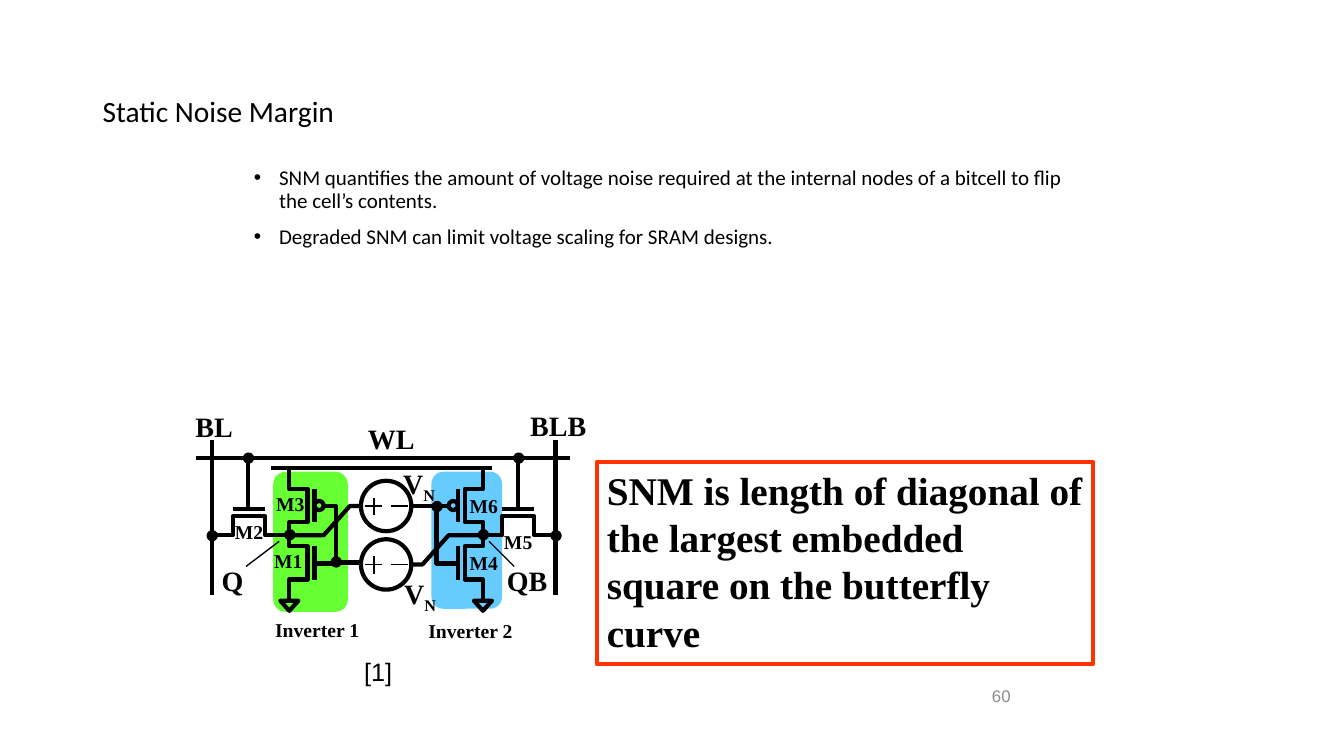
from dataclasses import dataclass

from lxml import etree
from pptx import Presentation
from pptx.dml.color import RGBColor
from pptx.enum.shapes import MSO_CONNECTOR, MSO_SHAPE
from pptx.enum.text import MSO_ANCHOR, MSO_AUTO_SIZE, PP_ALIGN
from pptx.oxml.ns import qn
from pptx.util import Emu, Pt

STRAIGHT = MSO_CONNECTOR.STRAIGHT
RECT, ROUND, OVAL = MSO_SHAPE.RECTANGLE, MSO_SHAPE.ROUNDED_RECTANGLE, MSO_SHAPE.OVAL
TOP, MIDDLE = MSO_ANCHOR.TOP, MSO_ANCHOR.MIDDLE
LEFT, CENTER = PP_ALIGN.LEFT, PP_ALIGN.CENTER
GROW, FIXED = MSO_AUTO_SIZE.SHAPE_TO_FIT_TEXT, MSO_AUTO_SIZE.NONE

EMU_PER_PX = 9144  # 100 px to the inch
COLORS = {"ink": "000000", "green": "66FF33", "blue": "66CCFF", "red": "FF3300", "gray": "8C8C8C"}
SERIF = "Times New Roman"
THICK, THIN = 3, 1

Point = tuple[int, int]


@dataclass
class Label:
    text: str
    left: int
    top: int
    width: int
    height: int
    size: int
    subscript: str = ""


@dataclass
class Inverter:
    """One inverter: x of its output node, and the direction towards its gate."""
    x: int
    side: int


@dataclass
class Access:
    """One access transistor: x of its bitline, and the direction towards the cell."""
    x: int
    side: int
    gate: int


LABELS = [
    Label("Inverter 2", 415, 609, 104, 34, 14),
    Label("Inverter 1", 263, 608, 104, 34, 14),
    Label("WL", 355, 413, 72, 43, 20),
    Label("BLB", 516, 400, 76, 43, 20),
    Label("BL", 184, 401, 57, 43, 20),
    Label("Q", 210, 554, 42, 43, 20),
    Label("QB", 493, 554, 60, 43, 20),
    Label("M1", 262, 540, 48, 33, 14),
    Label("M2", 223, 511, 48, 33, 14),
    Label("M3", 264, 483, 48, 33, 14),
    Label("M4", 456, 542, 48, 33, 14),
    Label("M5", 490, 521, 48, 33, 14),
    Label("M6", 456, 485, 48, 33, 14),
    Label("V", 391, 567, 54, 44, 20, "N"),
    Label("V", 390, 458, 54, 44, 20, "N"),
]
INVERTERS = [Inverter(479, -1), Inverter(287, 1)]
ACCESSES = [Access(551, -1, 514), Access(210, 1, 246)]
DOTS = [(287, 530), (333, 557), (433, 502), (479, 530), (551, 531), (210, 531), (246, 454), (514, 454)]
SOURCE_ROWS = [502, 560]
WIRES = [
    [(488, 464), (269, 464)],  # supply rail
    [(194, 454), (565, 454)],  # word line
    [(287, 531), (321, 531), (347, 502), (358, 502)],
    [(479, 531), (445, 531), (419, 560), (408, 560)],
    [(409, 502), (433, 502)],
    [(334, 558), (359, 558)],
]
LEADERS = [[(244, 562), (277, 537)], [(485, 537), (510, 562)]]
BULLETS = [
    "SNM quantifies the amount of voltage noise required at the internal nodes of a bitcell "
    "to flip the cell’s contents.",
    "Degraded SNM can limit voltage scaling for SRAM designs.",
]

deck = Presentation()
deck.slide_width, deck.slide_height = Emu(1333 * EMU_PER_PX), Emu(750 * EMU_PER_PX)
page = deck.slides.add_slide(deck.slide_layouts[6])


def px(length: int) -> Emu:
    return Emu(length * EMU_PER_PX)


def rgb(name: str) -> RGBColor:
    return RGBColor.from_string(COLORS[name])


def paint(shape, fill: str = "", line: str = "") -> None:
    shape.shadow.inherit = False
    if fill:
        shape.fill.solid()
        shape.fill.fore_color.rgb = rgb(fill)
    else:
        shape.fill.background()
    if line:
        shape.line.color.rgb = rgb(line)
        shape.line.width = Pt(THICK)
    else:
        shape.line.fill.background()


def add_shape(kind, left: int, top: int, width: int, height: int, fill: str = "", line: str = ""):
    shape = page.shapes.add_shape(kind, px(left), px(top), px(width), px(height))
    paint(shape, fill, line)
    return shape


def add_wire(points: list[Point], width: int = THICK, closed: bool = False) -> None:
    if len(points) == 2:
        (x1, y1), (x2, y2) = points
        wire = page.shapes.add_connector(STRAIGHT, px(x1), px(y1), px(x2), px(y2))
        wire.line.color.rgb = rgb("ink")
        wire.line.width = Pt(width)
        etree.SubElement(wire._element.spPr, qn("a:effectLst"))
    else:
        outline = page.shapes.build_freeform(*points[0], scale=EMU_PER_PX)
        outline.add_line_segments(points[1:], close=closed)
        paint(outline.convert_to_shape(), line="ink")


def add_bullet(para) -> None:
    properties = para._p.get_or_add_pPr()
    properties.set("marL", "228600")
    properties.set("indent", "-228600")
    etree.SubElement(properties, qn("a:buFont"), typeface="Arial")
    etree.SubElement(properties, qn("a:buChar"), char="•")


def write(box, texts: list[str], *, size: int, font: str = SERIF, color: str = "ink", bold: bool = False,
          align=LEFT, anchor=TOP, wrap: bool = True, fit=FIXED, spacing: float = 1.0, before: int = 0,
          bullet: bool = False, subscript: str = "") -> None:
    frame = box.text_frame
    frame.word_wrap, frame.auto_size, frame.vertical_anchor = wrap, fit, anchor
    for index, text in enumerate(texts):
        para = frame.add_paragraph() if index else frame.paragraphs[0]
        para.alignment, para.line_spacing = align, spacing
        if index:
            para.space_before = Pt(before)
        if bullet:
            add_bullet(para)
        for part in filter(None, (text, subscript)):
            span = para.add_run()
            span.text = part
            span.font.name, span.font.size, span.font.bold = font, Pt(size), bold
            span.font.color.rgb = rgb(color)
        if subscript:
            span.font._element.set("baseline", "-25000")


def add_text(left: int, top: int, width: int, height: int, texts: list[str], **style) -> None:
    write(page.shapes.add_textbox(px(left), px(top), px(width), px(height)), texts, **style)


def draw_inverter(inverter: Inverter) -> None:
    def at(offset: int) -> int:
        return inverter.x + inverter.side * offset

    for top in (464, 521):
        channel = [(0, 0), (0, 21), (18, 21), (18, 54), (0, 54), (0, 76)]
        add_wire([(at(dx), top + dy) for dx, dy in channel])
        add_wire([(at(25), top + 21), (at(25), top + 54)])
    add_wire([(at(37), 502), (at(35), 502)])
    add_wire([(at(37), 559), (at(25), 559)])
    add_wire([(at(37), 559), (at(46), 559), (at(46), 502), (at(37), 502)])
    add_shape(OVAL, min(at(25), at(34)), 497, 9, 9, line="ink")
    add_wire([(at(-9), 596), (at(9), 596), (at(0), 606)], closed=True)


def draw_access(access: Access) -> None:
    def at(offset: int) -> int:
        return access.x + access.side * offset

    channel = [(0, 531), (21, 531), (21, 512), (53, 512), (53, 531), (73, 531)]
    add_wire([(at(dx), y) for dx, y in channel])
    add_wire([(at(21), 505), (at(53), 505)])
    add_wire([(access.gate, 454), (access.gate, 504)])
    add_wire([(access.x, 437), (access.x, 590)])


def draw_source(y: int) -> None:
    add_wire([(371, y - 8), (371, y + 9)], THIN)
    for left in (362, 388):
        add_wire([(left, y), (left + 17, y)], THIN)
    add_shape(OVAL, 358, y - 25, 50, 50, line="ink")


# Page number, title and bullets
add_text(974, 667, 67, 47, ["60"], size=12, font="Arial", color="gray", anchor=MIDDLE)
add_text(92, 40, 1150, 145, ["Static Noise Margin"], size=21, font="Calibri", anchor=MIDDLE, spacing=0.9)
add_text(242, 161, 850, 406, BULLETS, size=15, font="Calibri", spacing=0.9, before=10, bullet=True)

# Inverter areas and definition
add_shape(ROUND, 271, 468, 74, 139, fill="green")
add_shape(ROUND, 428, 468, 70, 136, fill="blue")
definition = add_shape(RECT, 592, 458, 492, 201, line="red")
write(definition, ["SNM is length of diagonal of the largest embedded square on the butterfly curve"],
      size=28, bold=True, fit=GROW)

# Bitcell circuit
for inverter in INVERTERS:
    draw_inverter(inverter)
for access in ACCESSES:
    draw_access(access)
for row in SOURCE_ROWS:
    draw_source(row)
for wire_points in WIRES:
    add_wire(wire_points)
for leader in LEADERS:
    add_wire(leader, THIN)
for dot_x, dot_y in DOTS:
    add_shape(OVAL, dot_x - 3, dot_y - 3, 7, 7, fill="ink", line="ink")

# Circuit labels and reference mark
for label in LABELS:
    add_text(label.left, label.top, label.width, label.height, [label.text], size=label.size, bold=True,
             wrap=False, fit=GROW, subscript=label.subscript)
add_text(351, 646, 48, 40, ["[1]"], size=18, font="Arial", align=CENTER, wrap=False, fit=GROW)

deck.save("out.pptx")
